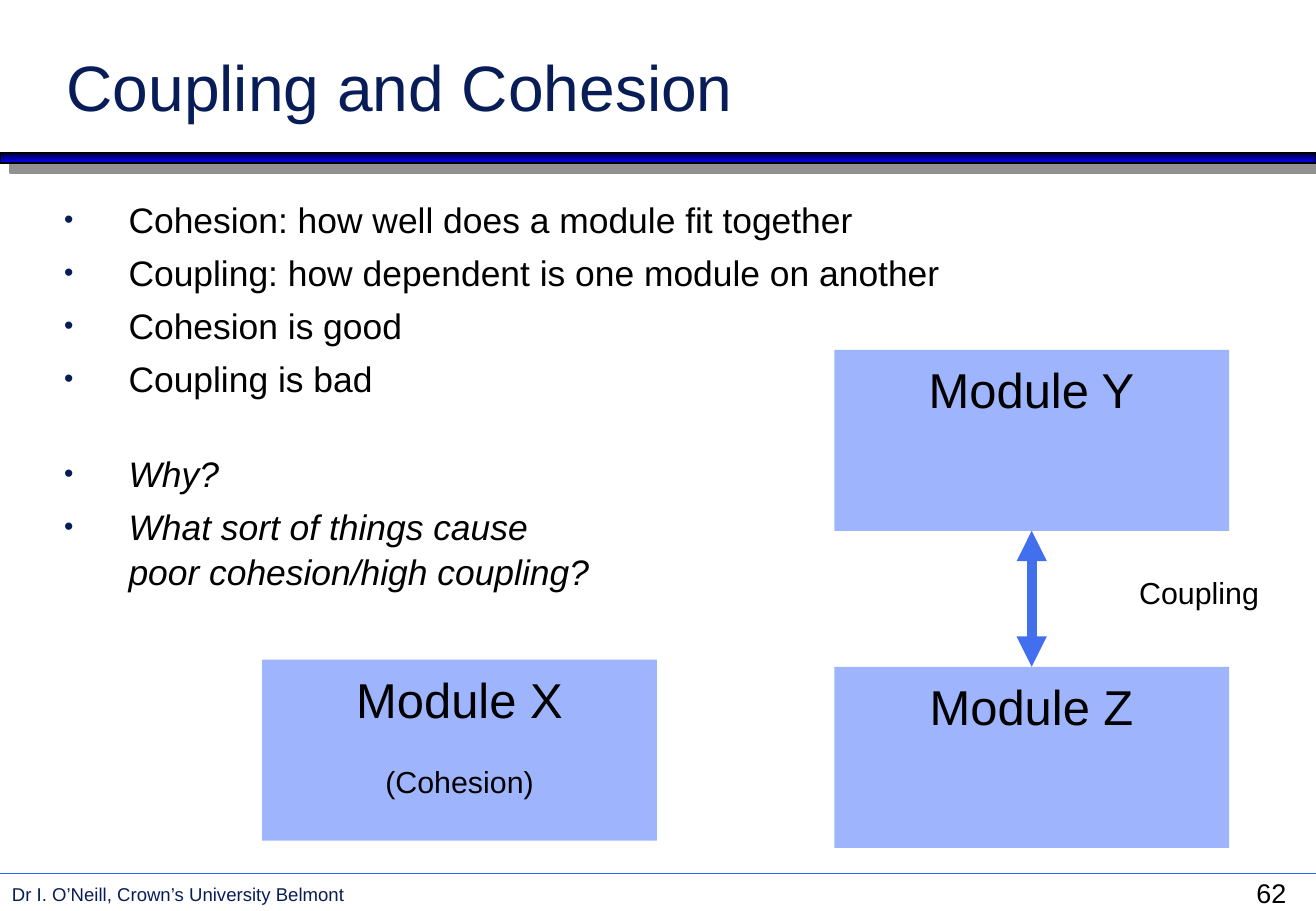
from lxml import etree
from pptx import Presentation
from pptx.enum import shapes, text
from pptx.dml.color import RGBColor
from pptx.oxml.ns import qn
from pptx.util import Emu, Inches, Pt

WIDTH, HEIGHT = Inches(10.84), Inches(7.5)
FONT = "Arial"
COLOURS = {
    "navy": "081D58", "black": "000000", "module": "9EB4FC", "arrow": "416FEE",
    "rule": "3366FF", "bar_top": "000036", "bar_bottom": "0000FF", "shadow": "919191",
}
POINTS = [
    # lines, italic, space before
    (["Cohesion: how well does a module fit together"], False, 5.2),
    (["Coupling: how dependent is one module on another"], False, 5.2),
    (["Cohesion is good"], False, 5.2),
    (["Coupling is bad"], False, 5.2),
    (["Why?"], True, 30.4),
    (["What sort of things cause", "poor cohesion/high coupling?"], True, 5.2),
]
MODULE_WIDTH, MODULE_HEIGHT = 30, 19.87
RIGHT_COLUMN, Y_TOP, Z_TOP = 63.4, 38.4, 73.2


def colour(name):
    return RGBColor.from_string(COLOURS[name])


def across(percent):
    return Emu(round(WIDTH * percent / 100))


def down(percent):
    return Emu(round(HEIGHT * percent / 100))


def place(left, top, width, height):
    """Turn percentages of the slide into lengths."""
    return across(left), down(top), across(width), down(height)


def add_child(parent, tag, **attributes):
    return etree.SubElement(parent, qn(tag), attributes)


def add_span(para, words, size, ink="black", italic=False):
    span = para.add_run()
    span.text = words
    span.font.name = FONT
    span.font.size = Pt(size)
    span.font.italic = italic
    span.font.color.rgb = colour(ink)


def add_label(page, area, words, size, ink="black",
              align=text.PP_ALIGN.LEFT, anchor=text.MSO_ANCHOR.TOP):
    frame = page.shapes.add_textbox(*place(*area)).text_frame
    frame.word_wrap = True
    frame.vertical_anchor = anchor
    para = frame.paragraphs[0]
    para.alignment = align
    add_span(para, words, size, ink)


def add_bullet(para):
    indent = Inches(0.53)
    properties = para._p.get_or_add_pPr()
    properties.set("marL", str(indent))
    properties.set("indent", str(-indent))
    add_child(add_child(properties, "a:buClr"), "a:srgbClr", val=COLOURS["navy"])
    add_child(properties, "a:buSzPct", val="75000")
    add_child(properties, "a:buFont", typeface=FONT)
    add_child(properties, "a:buChar", char="•")


def add_points(page, area):
    frame = page.shapes.add_textbox(*place(*area)).text_frame
    frame.word_wrap = True
    for number, (lines, italic, gap) in enumerate(POINTS):
        para = frame.add_paragraph() if number else frame.paragraphs[0]
        para.space_before = Pt(gap)
        para.line_spacing = 1.04
        add_bullet(para)
        for row, line in enumerate(lines):
            if row:
                para.add_line_break()
            add_span(para, line, 21, italic=italic)


def add_module(page, left, top, name, note=None):
    box = page.shapes.add_shape(shapes.MSO_SHAPE.RECTANGLE,
                                *place(left, top, MODULE_WIDTH, MODULE_HEIGHT))
    box.shadow.inherit = False
    box.fill.solid()
    box.fill.fore_color.rgb = colour("module")
    box.line.fill.background()
    frame = box.text_frame
    frame.word_wrap = True
    frame.vertical_anchor = text.MSO_ANCHOR.TOP
    frame.margin_top = Inches(0.08)
    para = frame.paragraphs[0]
    para.alignment = text.PP_ALIGN.CENTER
    add_span(para, name, 29)
    if note:
        para = frame.add_paragraph()
        para.alignment = text.PP_ALIGN.CENTER
        para.space_before = Pt(21)
        add_span(para, note, 18)


def add_line(page, start, end, ink, weight, arrowheads=False):
    line = page.shapes.add_connector(
        shapes.MSO_CONNECTOR.STRAIGHT,
        across(start[0]), down(start[1]), across(end[0]), down(end[1]))
    line.line.color.rgb = colour(ink)
    line.line.width = Pt(weight)
    if arrowheads:
        outline = line.line._get_or_add_ln()
        for tag in ("a:headEnd", "a:tailEnd"):
            add_child(outline, tag, type="triangle")
    add_child(line._element.spPr, "a:effectLst")


def add_title_bar(page, area):
    bar = page.shapes.add_shape(shapes.MSO_SHAPE.RECTANGLE, *place(*area))
    bar.fill.gradient()
    bar.fill.gradient_angle = 270
    for stop, name in zip(bar.fill.gradient_stops, ("bar_top", "bar_bottom")):
        stop.color.rgb = colour(name)
    bar.line.color.rgb = colour("black")
    bar.line.width = Pt(1)
    effects = add_child(bar._element.spPr, "a:effectLst")
    shadow = add_child(effects, "a:outerShdw", dist=str(Pt(8.5)),
                       dir="2700000", algn="ctr", rotWithShape="0")
    add_child(shadow, "a:srgbClr", val=COLOURS["shadow"])


def main():
    deck = Presentation()
    deck.slide_width, deck.slide_height = WIDTH, HEIGHT
    page = deck.slides.add_slide(deck.slide_layouts[6])

    add_label(page, (0, 96.27, 92, 3.73),
              "Dr I. O’Neill, Crown’s University Belmont", 11, "navy")
    add_title_bar(page, (0, 16.8, 100, 1.07))
    add_line(page, (0, 95.87), (100, 95.87), "rule", 1)
    add_label(page, (94.56, 95.6, 5.44, 4.4), "62", 16)
    add_label(page, (4.15, 3.87, 85.33, 10.4), "Coupling and Cohesion", 38, "navy",
              anchor=text.MSO_ANCHOR.BOTTOM)
    add_points(page, (3.97, 20.93, 92.16, 71.33))

    add_module(page, 19.93, 72.4, "Module X", "(Cohesion)")
    add_module(page, RIGHT_COLUMN, Z_TOP, "Module Z")
    add_module(page, RIGHT_COLUMN, Y_TOP, "Module Y")
    middle = RIGHT_COLUMN + MODULE_WIDTH / 2
    add_line(page, (middle, Y_TOP + MODULE_HEIGHT), (middle, Z_TOP), "arrow", 6,
             arrowheads=True)
    add_label(page, (79.24, 62.4, 17.34, 5.47), "Coupling", 18,
              align=text.PP_ALIGN.RIGHT)

    deck.save("out.pptx")


if __name__ == "__main__":
    main()
